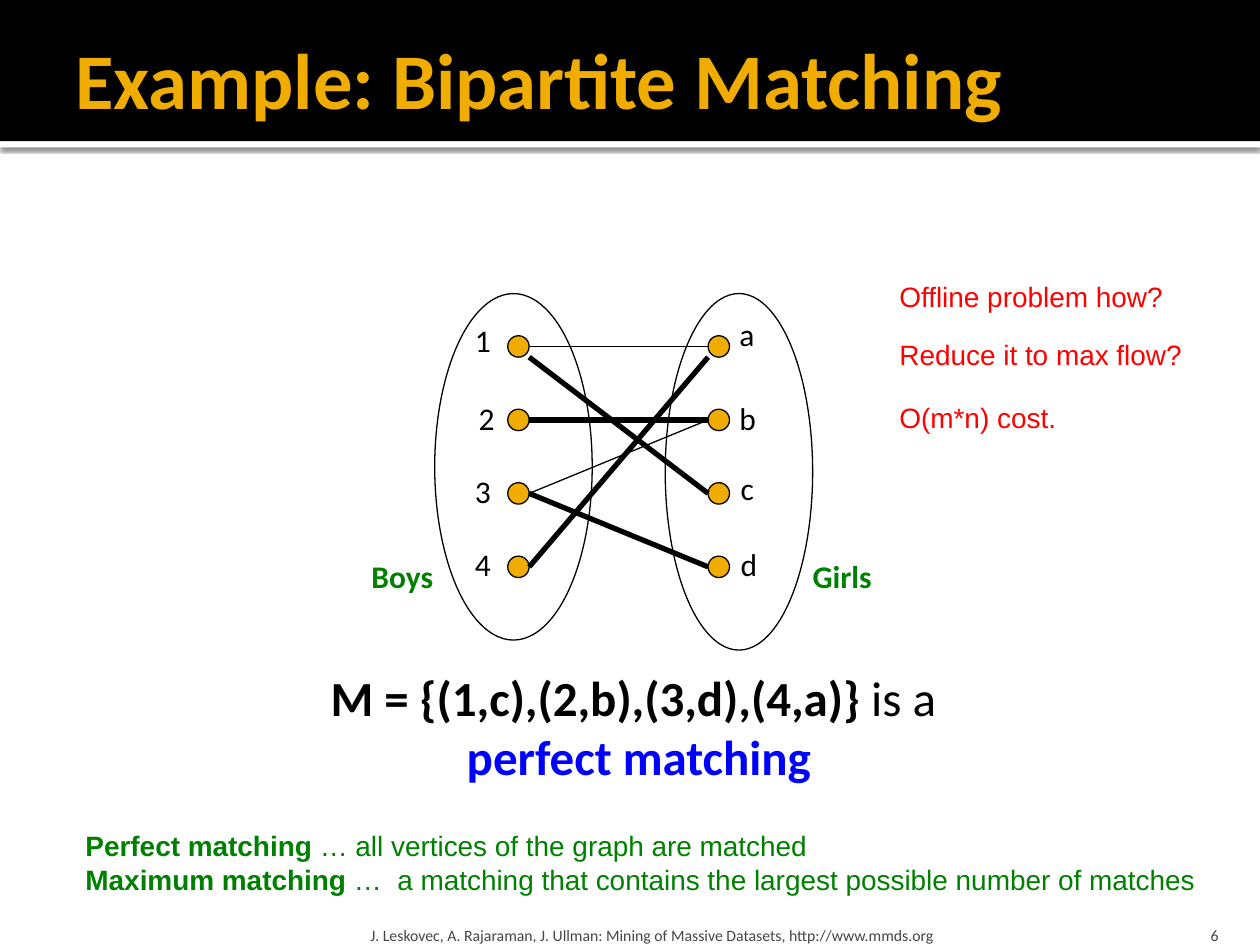
from dataclasses import dataclass

from lxml import etree
from pptx import Presentation
from pptx.dml.color import RGBColor
from pptx.enum import shapes, text
from pptx.oxml import ns
from pptx.util import Inches, Pt

COLUMNS, ROWS = 100, 75
UNIT = Inches(10) // COLUMNS


@dataclass(frozen=True)
class Theme:
    heading: str = "Calibri"
    body: str = "Arial"
    black: str = "000000"
    white: str = "FFFFFF"
    gold: str = "F0AD00"
    green: str = "008000"
    blue: str = "0000FF"
    red: str = "FF0000"
    grey: str = "454545"
    title: float = 45
    statement: float = 28
    label: float = 18
    note: float = 16
    footer: float = 9
    thin: float = 0.75
    bold: float = 3
    hairline: float = 0.25


THEME = Theme()


@dataclass(frozen=True)
class Box:
    x: float
    y: float
    w: float
    h: float

    def inner(self, x, y, w, h):
        return Box(self.x + x, self.y + y, w, h)

    def emu(self):
        return [round(side * UNIT) for side in (self.x, self.y, self.w, self.h)]


def rgb(color):
    return RGBColor.from_string(color)


def add_effects(owner):
    properties = owner._element.spPr
    for old in properties.findall(ns.qn("a:effectLst")):
        properties.remove(old)
    return etree.SubElement(properties, ns.qn("a:effectLst"))


def add_outline(slide, box, kind, fill=None, line=None):
    outline = slide.shapes.add_shape(kind, *box.emu())
    outline.shadow.inherit = False
    if fill:
        outline.fill.solid()
        outline.fill.fore_color.rgb = rgb(fill)
    else:
        outline.fill.background()
    if line:
        outline.line.color.rgb = rgb(line)
        outline.line.width = Pt(THEME.thin)
    else:
        outline.line.fill.background()
    return outline


def add_text(slide, box, paragraphs, size, font=THEME.heading, wrap=False,
             grow=True, align=None, anchor=text.MSO_ANCHOR.TOP, insets=(1, 0.5, 1, 0.5)):
    frame = slide.shapes.add_textbox(*box.emu()).text_frame
    frame.word_wrap = wrap
    frame.auto_size = text.MSO_AUTO_SIZE.SHAPE_TO_FIT_TEXT if grow else text.MSO_AUTO_SIZE.NONE
    frame.vertical_anchor = anchor
    sides = [round(inset * UNIT) for inset in insets]
    frame.margin_left, frame.margin_top, frame.margin_right, frame.margin_bottom = sides
    frame.text = "\n".join("" for _ in paragraphs)
    for paragraph, pieces in zip(frame.paragraphs, paragraphs):
        paragraph.alignment = align
        for wording, color, bold in pieces:
            lines = wording.split("\v")
            for number, line in enumerate(lines):
                if number:
                    paragraph.add_line_break()
                if line:
                    run = paragraph.add_run()
                    run.text = line
                    run.font.name, run.font.size, run.font.bold = font, Pt(size), bold
                    run.font.color.rgb = rgb(color)


def add_header(slide, box):
    rectangle = shapes.MSO_SHAPE.RECTANGLE
    rule = add_outline(slide, box.inner(0, box.h, box.w, 0.5), rectangle, THEME.white)
    shadow = etree.SubElement(add_effects(rule), ns.qn("a:outerShdw"), blurRad=str(Pt(2.5)),
                              dist=str(Pt(0.8)), dir="5400000", rotWithShape="0")
    tint = etree.SubElement(shadow, ns.qn("a:srgbClr"), val=THEME.black)
    etree.SubElement(tint, ns.qn("a:alpha"), val="60000")
    add_outline(slide, box, rectangle, THEME.black)
    add_text(slide, box.inner(5, 0.8, box.w - 10, 10.8),
             [[("Example: Bipartite Matching", THEME.gold, True)]], THEME.title,
             wrap=True, grow=False, anchor=text.MSO_ANCHOR.MIDDLE, insets=(1, 0.5, 0.5, 0.5))


def add_graph(slide, box):
    oval = shapes.MSO_SHAPE.OVAL
    boys, girls, dot, first, step = 11.8, 27.7, 1.7, 4.2, 5.83
    corner = dot / 2

    for column in (boys, girls):
        for row in range(4):
            vertex = box.inner(column, first + row * step - dot / 2, dot, dot)
            add_outline(slide, vertex, oval, THEME.gold, THEME.black)

    edges = [(0, 0, 0, 0, THEME.hairline), (0, corner, 2, 0, THEME.bold),
             (1, 0, 1, 0, THEME.bold), (2, 0, 1, 0, THEME.thin),
             (2, 0, 3, 0, THEME.bold), (3, 0, 0, corner, THEME.bold)]
    for boy, boy_drop, girl, girl_drop, width in edges:
        start = box.inner(boys + dot, first + boy * step + boy_drop, 0, 0)
        end = box.inner(girls, first + girl * step + girl_drop, 0, 0)
        edge = slide.shapes.add_connector(shapes.MSO_CONNECTOR.STRAIGHT,
                                          *start.emu()[:2], *end.emu()[:2])
        edge.line.color.rgb = rgb(THEME.black)
        edge.line.width = Pt(width)
        add_effects(edge)

    labels = [("1", 8.2, 1.7), ("2", 8.5, 7.9), ("3", 8.2, 13.7), ("4", 8.2, 19.5),
              ("a", 29.2, 1.2), ("b", 29.2, 7.9), ("c", 29.3, 13.4), ("d", 29.3, 19.5)]
    for name, x, y in labels:
        add_text(slide, box.inner(x, y, 3.6, 4), [[(name, THEME.black, False)]], THEME.label)

    for x, w, h in ((6, 12.5, 27.5), (24.3, 11.7, box.h)):
        add_outline(slide, box.inner(x, 0, w, h), oval, line=THEME.black)
    for group, x, w in (("Boys", 0, 7.4), ("Girls", 35, 6.9)):
        add_text(slide, box.inner(x, 20.4, w, 4), [[(group, THEME.green, True)]], THEME.label)


def add_statement(slide, box):
    add_text(slide, box, [[("M = {(1,c),(2,b),(3,d),(4,a)}", THEME.black, True),
                           (" is a \v", THEME.black, False),
                           ("perfect matching", THEME.blue, True)]],
             THEME.statement, align=text.PP_ALIGN.CENTER)


def add_definitions(slide, box):
    add_text(slide, box, [
        [("Perfect matching", THEME.green, True),
         (" … all vertices of the graph are matched", THEME.green, False)],
        [("Maximum matching ", THEME.green, True),
         ("…  a matching that contains the largest possible number of matches",
          THEME.green, False)]], THEME.note, THEME.body)


def add_questions(slide, box):
    questions = [("Offline problem how?", 0), ("Reduce it to max flow?", 4.6), ("O(m*n) cost.", 9.6)]
    for question, y in questions:
        add_text(slide, box.inner(0, y, box.w, 3.7), [[(question, THEME.red, False)]],
                 THEME.note, THEME.body, wrap=True)


def add_footer(slide, box):
    credit = "J. Leskovec, A. Rajaraman, J. Ullman: Mining of Massive Datasets, http://www.mmds.org"
    parts = [("6", 60.8, 8, 1, text.PP_ALIGN.RIGHT), (credit, 0, 60.2, 0.5, text.PP_ALIGN.LEFT)]
    for wording, x, w, side, align in parts:
        add_text(slide, box.inner(x, 0, w, box.h), [[(wording, THEME.grey, False)]], THEME.footer,
                 wrap=True, grow=False, align=align, anchor=text.MSO_ANCHOR.BOTTOM,
                 insets=(side, 0.5, side, 0))


def main():
    deck = Presentation()
    deck.slide_width, deck.slide_height = COLUMNS * UNIT, ROWS * UNIT
    slide = deck.slides.add_slide(deck.slide_layouts[6])
    add_header(slide, Box(0, 0, COLUMNS, 11.2))
    add_graph(slide, Box(28.5, 23.3, 41.9, 28.3))
    add_statement(slide, Box(24.9, 52.5, 51.6, 10.4))
    add_footer(slide, Box(28.9, 72, 68.8, 3))
    add_definitions(slide, Box(5.8, 65.3, 91.9, 6.4))
    add_questions(slide, Box(70.4, 21.7, 24.6, 13.3))
    deck.save("out.pptx")


if __name__ == "__main__":
    main()
